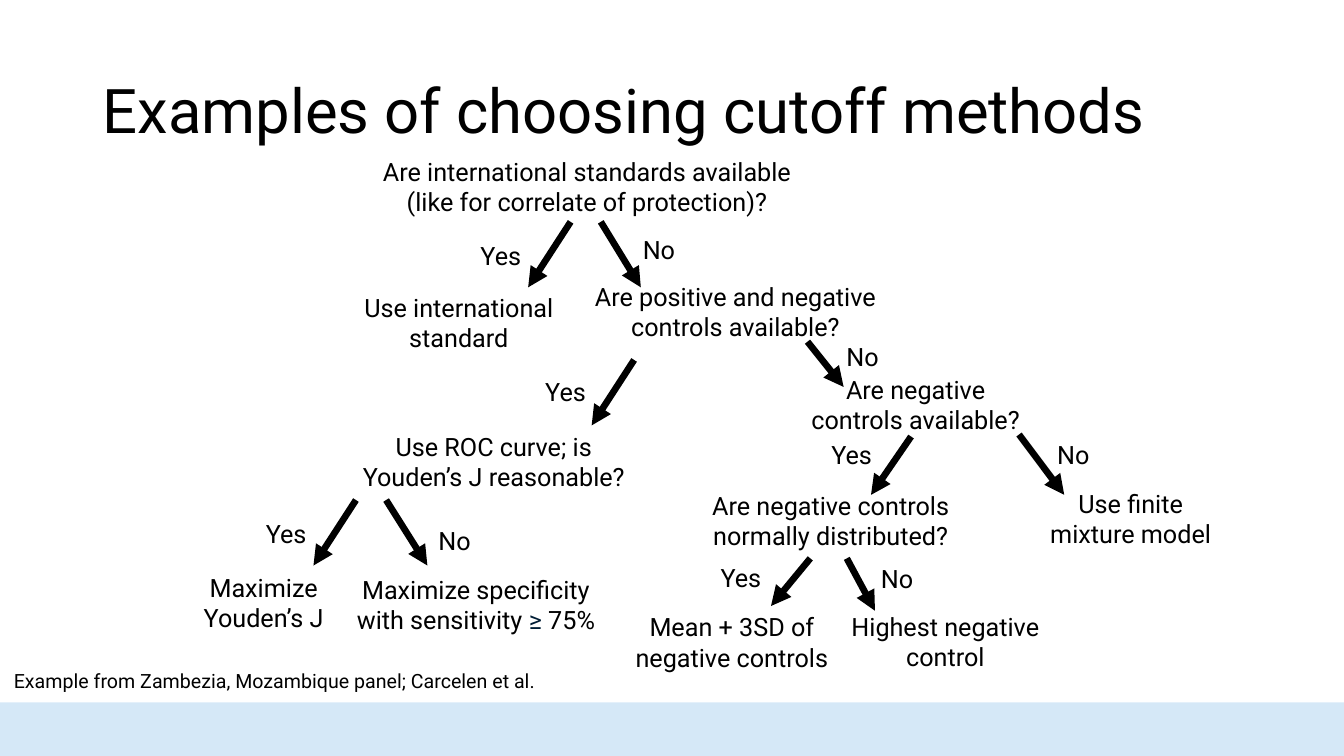
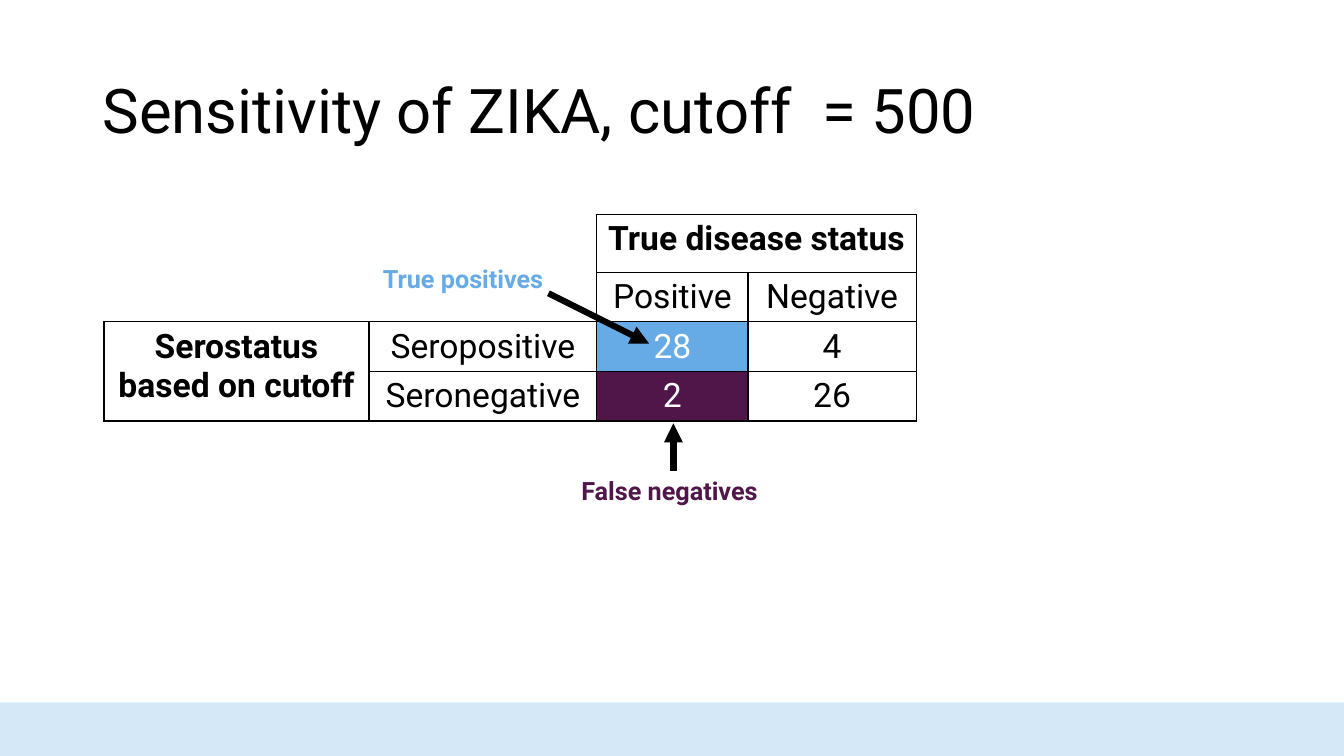
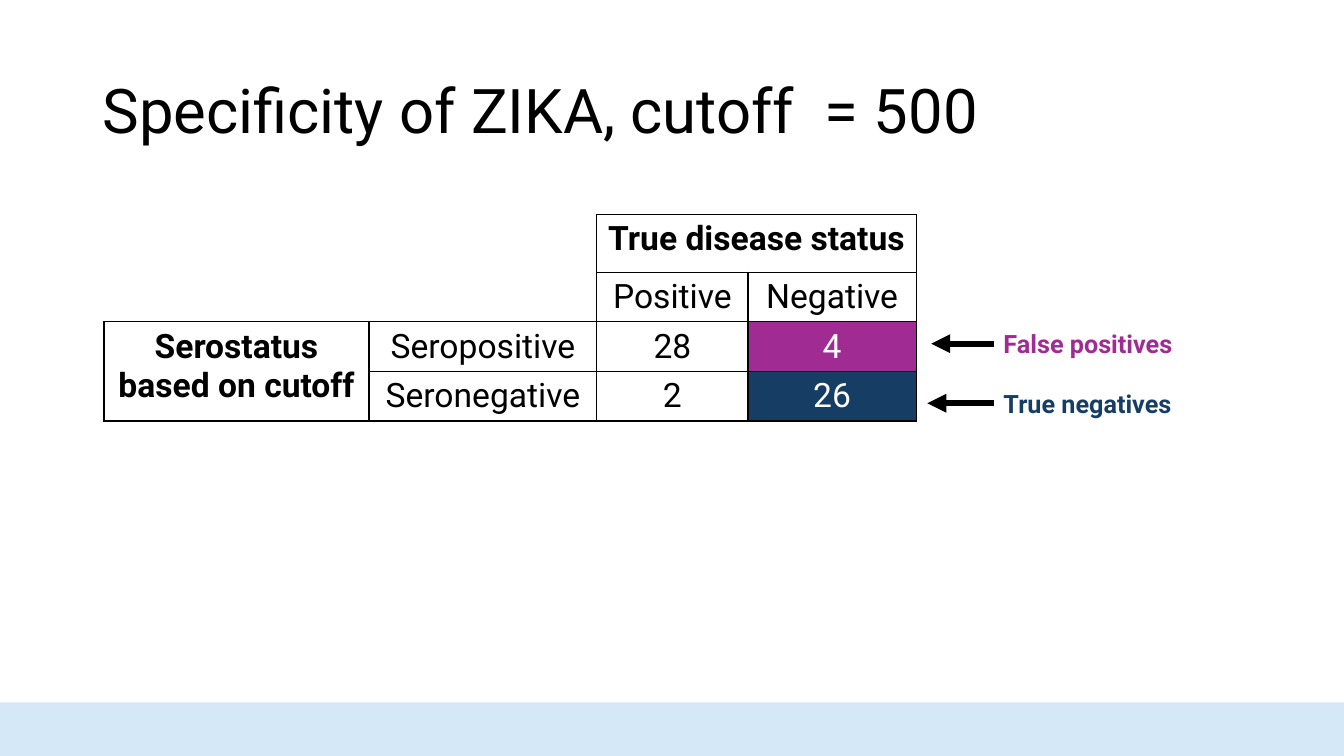
from lxml import etree
from pptx import Presentation
from pptx.dml.color import RGBColor
from pptx.enum.shapes import MSO_CONNECTOR, MSO_SHAPE
from pptx.enum.text import MSO_ANCHOR, MSO_AUTO_SIZE, PP_ALIGN
from pptx.oxml import parse_xml
from pptx.oxml.ns import nsdecls, qn
from pptx.util import Cm, Pt

LEFT, CENTER = PP_ALIGN.LEFT, PP_ALIGN.CENTER
MIDDLE = MSO_ANCHOR.MIDDLE
FIT_SHAPE = MSO_AUTO_SIZE.SHAPE_TO_FIT_TEXT
RECTANGLE = MSO_SHAPE.RECTANGLE
STRAIGHT = MSO_CONNECTOR.STRAIGHT

FONT = "Roboto"
COLORS = {
    "black": "000000",
    "white": "FFFFFF",
    "navy": "001D35",
    "sky": "66ABE5",
    "plum": "501649",
    "magenta": "A02B93",
    "blue": "163E64",
}


def add_text(slide, text, left, top, width, height=1.02, size=18,
             color="black", bold=False, align=LEFT):
    sp = slide.shapes.add_textbox(Cm(left), Cm(top), Cm(width), Cm(height))
    tf = sp.text_frame
    tf.word_wrap = True
    tf.auto_size = FIT_SHAPE
    p = tf.paragraphs[0]
    p.text = text
    p.alignment = align
    p.font.name = FONT
    p.font.size = Pt(size)
    p.font.bold = bold
    p.font.color.rgb = RGBColor.from_string(COLORS[color])
    return sp


def add_arrow(slide, start, end, width):
    line = slide.shapes.add_connector(STRAIGHT, *[Cm(v) for v in start + end])
    line.line.width = Pt(width)
    line.line.color.rgb = RGBColor.from_string(COLORS["black"])
    etree.SubElement(line.line._get_or_add_ln(), qn("a:tailEnd"), type="triangle")
    etree.SubElement(line.element.spPr, qn("a:effectLst"))
    return line


prs = Presentation()
prs.slide_width, prs.slide_height = Cm(33.87), Cm(19.05)

# Shared layout: title position
layout = prs.slide_layouts.get_by_name("Title Only")
title = layout.placeholders[0]
title.left, title.top, title.width, title.height = Cm(2.33), Cm(1.02), Cm(29.21), Cm(3.68)

# Slides with their titles
titles = [
    "Examples of choosing cutoff methods",
    "Sensitivity of ZIKA, cutoff  = 500",
    "Specificity of ZIKA, cutoff  = 500",
]
slides = []
for text in titles:
    s = prs.slides.add_slide(layout)
    tf = s.shapes.title.text_frame
    tf.text = text
    tf.vertical_anchor = MIDDLE
    p = tf.paragraphs[0]
    p.alignment = LEFT
    p.line_spacing = 0.9
    p.font.name = FONT
    p.font.size = Pt(44)
    p.font.color.rgb = RGBColor.from_string(COLORS["black"])
    slides.append(s)

# Shared layout: translucent footer band, moved from the first slide
band = slides[0].shapes.add_shape(RECTANGLE, 0, Cm(17.7), prs.slide_width, Cm(1.35))
band.shadow.inherit = False
band.line.fill.background()
band.fill.solid()
band.fill.fore_color.rgb = RGBColor.from_string(COLORS["sky"])
etree.SubElement(band.element.spPr.find(".//" + qn("a:srgbClr")), qn("a:alpha"), val="27000")
layout.shapes.element.append(band.element)

# Decision tree: questions and outcomes (text, left, top, width)
s = slides[0]
nodes = [
    ("Are international standards available (like for correlate of protection)?", 9.17, 3.81, 11.25),
    ("Use international standard", 8.76, 7.24, 5.61),
    ("Are positive and negative controls available?", 14.66, 6.96, 7.75),
    ("Use ROC curve; is Youden’s J reasonable?", 8.76, 10.74, 7.37),
    ("Maximize Youden’s J", 3.84, 14.3, 5.61),
    ("Are negative controls available?", 20.04, 9.3, 6.07),
    ("Use finite mixture model", 25.93, 12.17, 5.13),
    ("Are negative controls normally distributed?", 17.53, 12.22, 6.81),
    ("Mean + 3SD of negative controls", 15.04, 15.29, 6.81),
    ("Highest negative control", 20.42, 15.27, 6.81),
    ("Maximize specificity with sensitivity", 8.31, 14.35, 7.37),
]
for text, left, top, width in nodes:
    sp = add_text(s, text, left, top, width, 1.8, align=CENTER)

# The last outcome ends with a sign in its own colour
p = sp.text_frame.paragraphs[0]
r = p.add_run()
r.text = " ≥"
r.font.color.rgb = RGBColor.from_string(COLORS["navy"])
p.add_run().text = " 75%"

# Decision tree: branches (answer, left, top, arrow start, arrow end)
branches = [
    ("Yes", 11.86, 5.92, (14.38, 5.59), (13.31, 7.24)),
    ("No", 15.95, 5.79, (15.14, 5.59), (16.15, 7.24)),
    ("Yes", 13.49, 9.37, (15.98, 9.07), (14.91, 10.72)),
    ("No", 21.08, 8.48, (20.35, 8.61), (21.26, 9.75)),
    ("Yes", 6.45, 12.93, (8.97, 12.6), (7.9, 14.25)),
    ("No", 10.8, 13.11, (9.73, 12.6), (10.77, 14.25)),
    ("Yes", 20.7, 10.95, (22.96, 11), (21.95, 12.47)),
    ("No", 26.39, 10.95, (25.68, 10.95), (26.82, 12.47)),
    ("Yes", 17.91, 14.05, (20.42, 14.07), (19.43, 15.27)),
    ("No", 21.95, 14.07, (21.34, 14.07), (22.05, 15.39)),
]
for answer, left, top, start, end in branches:
    add_text(s, answer, left, top, 1.85)
    add_arrow(s, start, end, 4.75)

add_text(s, "Example from Zambezia, Mozambique panel; Carcelen et al.",
         0.1, 16.74, 16.94, 0.86, size=14)

# Confusion tables: shared content
rows = [
    ["", "", "True disease status", ""],
    ["", "", "Positive", "Negative"],
    ["Serostatus based on cutoff", "Seropositive", "28", "4"],
    ["", "Seronegative", "2", "26"],
]
col_widths = [6.68, 5.74, 3.81, 4.24]
row_heights = [1.45, 1.25, 1.25, 1.25]
merges = [((0, 0), (1, 1)), ((0, 2), (0, 3)), ((2, 0), (3, 0))]
bold_cells = [(0, 2), (2, 0)]

# Per slide: highlighted cells, then labels (text, colour, left, top, arrow start, arrow end)
highlights = [
    {(2, 2): "sky", (3, 2): "plum"},
    {(2, 3): "magenta", (3, 3): "blue"},
]
callouts = [
    [("True positives", "sky", 9.4, 6.5, (13.82, 7.39), (16.36, 8.66)),
     ("False negatives", "plum", 14.4, 11.86, (16.97, 11.86), (16.97, 10.67))],
    [("True negatives", "blue", 25.04, 9.65, (25.04, 10.16), (23.37, 10.16)),
     ("False positives", "magenta", 25.04, 8.15, (25.04, 8.66), (23.47, 8.66))],
]

for s, fills, labels in zip(slides[1:], highlights, callouts):
    # Table
    table = s.shapes.add_table(4, 4, Cm(2.62), Cm(5.41), Cm(sum(col_widths)),
                               Cm(sum(row_heights))).table
    table.first_row = table.horz_banding = False
    for column, width in zip(table.columns, col_widths):
        column.width = Cm(width)
    for row, height in zip(table.rows, row_heights):
        row.height = Cm(height)
    for first, last in merges:
        table.cell(*first).merge(table.cell(*last))

    for i, row in enumerate(rows):
        for j, text in enumerate(row):
            cell = table.cell(i, j)
            cell.fill.solid()
            cell.fill.fore_color.rgb = RGBColor.from_string(COLORS[fills.get((i, j), "white")])
            p = cell.text_frame.paragraphs[0]
            p.text = text
            p.alignment = CENTER
            p.font.name = FONT
            p.font.size = Pt(24)
            p.font.bold = (i, j) in bold_cells
            p.font.color.rgb = RGBColor.from_string(COLORS["white" if (i, j) in fills else "black"])

            # The empty corner has only its inner edges drawn
            sides = "RB" if i < 2 and j < 2 else "LRTB"
            for n, side in enumerate(sides):
                border = parse_xml(
                    f'<a:ln{side} {nsdecls("a")} w="12700"><a:solidFill>'
                    f'<a:srgbClr val="{COLORS["black"]}"/></a:solidFill></a:ln{side}>')
                cell._tc.get_or_add_tcPr().insert(n, border)

    # Labels and their arrows
    for text, color, left, top, start, end in labels:
        sp = add_text(s, text, left, top, 5.69, color=color, bold=True)
        line = add_arrow(s, start, end, 4.5)
        if start[0] == left:
            line.begin_connect(sp, 1)

prs.save("out.pptx")
